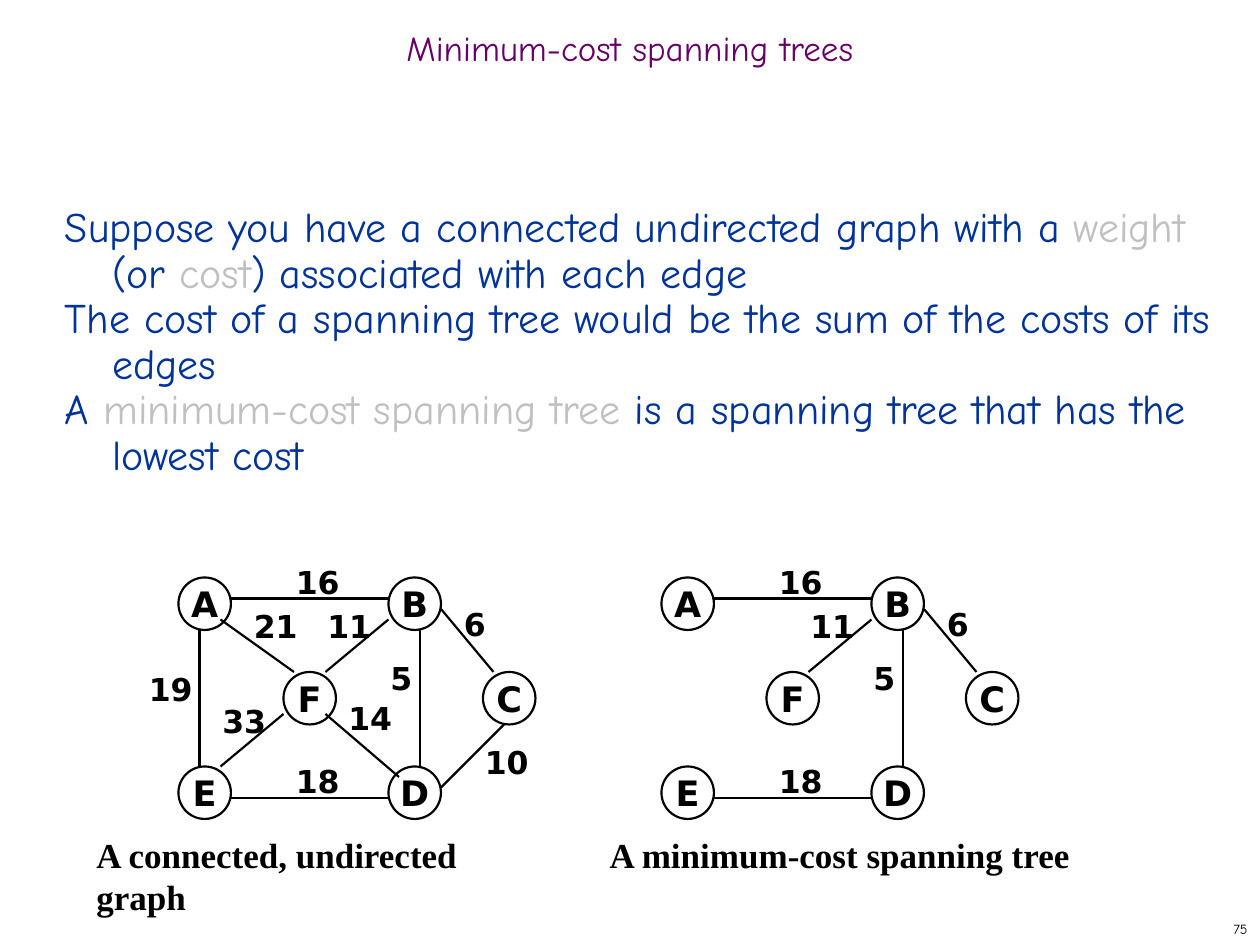
from dataclasses import dataclass
from lxml import etree
from pptx import Presentation, util as u
from pptx.dml import color
from pptx.enum import shapes, text
from pptx.oxml import ns

Pt = u.Pt
FIT = text.MSO_AUTO_SIZE.SHAPE_TO_FIT_TEXT
MID = text.MSO_ANCHOR.MIDDLE
MODE = text.PP_ALIGN


@dataclass(frozen=True)
class Theme:
    ink: str = "000000"
    head: str = "660066"
    body: str = "003399"
    pale: str = "C0C0C0"
    hand: str = "Comic Neue"
    sans: str = "DejaVu Sans"
    serif: str = "Times New Roman"
    title: int = 20
    prose: int = 24
    node: int = 20
    cost: int = 18
    note: int = 20
    page: int = 8
    line: float = 1.25


T = Theme()

NODES = {"A": (0, 0), "B": (120, 0), "E": (0, 108),
         "D": (120, 108), "F": (60, 54), "C": (174, 54)}
SIZE = 30

EDGES = {
    "AB": ((30, 12), (120, 12), "16", (60, -12)),
    "AE": ((12, 30), (12, 108), "19", (-24, 49.4)),
    "BD": ((138, 30), (138, 108), "5", (114, 43)),
    "ED": ((30, 126), (120, 126), "18", (60, 102)),
    "EF": ((24, 108), (60, 78), "33", (18, 67.4)),
    "DF": ((126, 114), (84, 78), "14", (90, 66)),
    "AF": ((24, 24), (66, 54), "21", (36, 13.4)),
    "BF": ((120, 24), (84, 54), "11", (78, 13.4)),
    "DC": ((150, 120), (186, 84), "10", (168, 91.2)),
    "BC": ((150, 18), (180, 54), "6", (156, 12)),
}
TREE = ("AB", "BD", "ED", "BF", "BC")

PROSE = (
    (("Suppose you have a connected undirected graph with a ", T.body),
     ("weight", T.pale), (" (or ", T.body), ("cost", T.pale),
     (") associated with each edge", T.body)),
    (("The cost of a spanning tree would be the sum of the costs of its edges",
      T.body),),
    (("A ", T.body), ("minimum-cost spanning tree", T.pale),
     (" is a spanning tree that has the lowest cost", T.body)),
)


def apply(item, **values):
    for name, value in values.items():
        setattr(item, name, value)


def write(frame, runs, face, size, bold=False, first=True, **form):
    para = frame.paragraphs[0] if first else frame.add_paragraph()
    apply(para, **form)
    for words, hue in runs:
        run = para.add_run()
        run.text = words
        apply(run.font, name=face, size=Pt(size), bold=bold)
        run.font.color.rgb = color.RGBColor.from_string(hue)
    return para


def frame_in(host, box, **form):
    frame = host.add_textbox(*map(Pt, box)).text_frame
    apply(frame, **{"word_wrap": True, **form})
    return frame


def title(host, box):
    frame = frame_in(host, box, vertical_anchor=MID)
    write(frame, [("Minimum-cost spanning trees", T.head)], T.hand, T.title,
          alignment=MODE.CENTER, line_spacing=0.7)


def prose(host, box):
    frame = frame_in(host, box)
    for order, runs in enumerate(PROSE):
        para = write(frame, runs, T.hand, T.prose, first=order == 0,
                     line_spacing=Pt(26))
        props = para._p.get_or_add_pPr()
        props.set("marL", str(Pt(27)))
        props.set("indent", str(Pt(-27)))


def page(host, box):
    frame = frame_in(host, box, vertical_anchor=MID, word_wrap=False)
    write(frame, [("75", T.ink)], T.hand, T.page, alignment=MODE.RIGHT)


def pen(line):
    line.color.rgb = color.RGBColor.from_string(T.ink)
    line.width = Pt(T.line)


def node(host, name, left, top):
    disc = host.add_shape(shapes.MSO_SHAPE.OVAL,
                          *map(Pt, (left, top, SIZE, SIZE)))
    disc.shadow.inherit = False
    disc.fill.background()
    pen(disc.line)
    apply(disc.text_frame, word_wrap=False, vertical_anchor=MID)
    write(disc.text_frame, [(name, T.ink)], T.sans, T.node, True,
          alignment=MODE.CENTER)


def edge(host, start, end):
    link = host.add_connector(shapes.MSO_CONNECTOR.STRAIGHT,
                              *map(Pt, start + end))
    pen(link.line)
    etree.SubElement(link._element.spPr, ns.qn("a:effectLst"))


def graph(slide, left, top, keys, note, box, wrap):
    host = slide.shapes.add_group_shape().shapes

    def shift(spot):
        return left + spot[0], top + spot[1]

    for name, spot in NODES.items():
        node(host, name, *shift(spot))
    for key in keys:
        edge(host, *map(shift, EDGES[key][:2]))
    for key in keys:
        cost, spot = EDGES[key][2:]
        frame = frame_in(host, (*shift(spot), 42, 29), auto_size=FIT)
        write(frame, [(cost, T.ink)], T.sans, T.cost, True)
    dx, dy, wide, high = box
    frame = frame_in(host, (*shift((dx, dy)), wide, high),
                     auto_size=FIT, word_wrap=wrap)
    write(frame, [(note, T.ink)], T.serif, T.note, True)


def main():
    deck = Presentation()
    apply(deck, slide_width=Pt(720), slide_height=Pt(540))
    slide = deck.slides.add_slide(deck.slide_layouts[6])
    page(slide.shapes, (570, 522, 150, 18))
    title(slide.shapes, (0, 12, 720, 36))
    prose(slide.shapes, (30, 114, 675.4, 196.6))
    graph(slide, 102, 330, EDGES, "A connected, undirected graph",
          (-54, 143, 270, 55.4), True)
    graph(slide, 378, 330, TREE, "A minimum-cost spanning tree",
          (-36.7, 143, 278.6, 31.7), False)
    deck.save("out.pptx")


if __name__ == "__main__":
    main()
